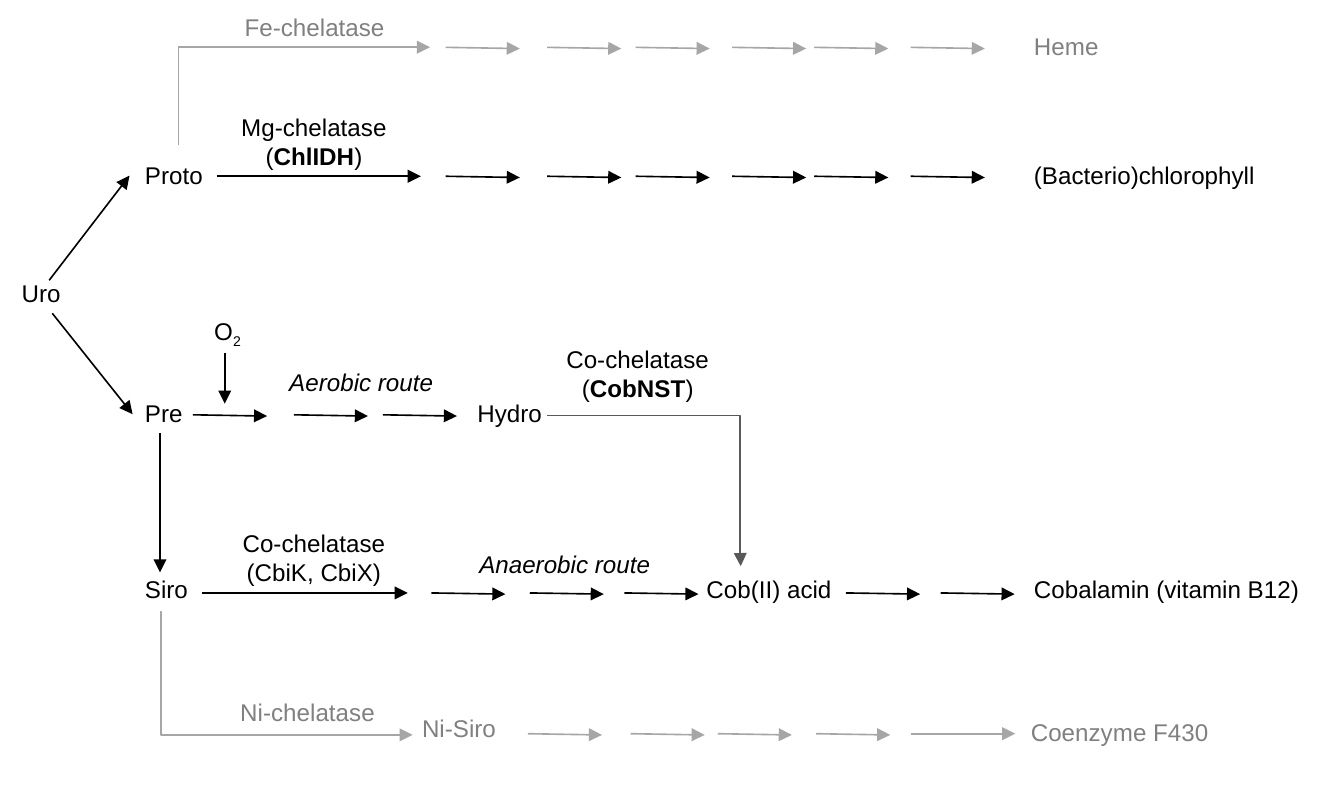
import dataclasses

import lxml.etree
import pptx
import pptx.dml.color
import pptx.enum.shapes
import pptx.enum.text
import pptx.oxml.ns
import pptx.util

Cm = pptx.util.Cm
Align = pptx.enum.text.PP_ALIGN
Kind = pptx.enum.shapes.MSO_CONNECTOR
qn = pptx.oxml.ns.qn


@dataclasses.dataclass(frozen=True)
class Theme:
    font: str = "Arial"
    size: float = 11
    line: float = 0.75
    ink: str = "000000"
    muted_text: str = "808080"
    muted_line: str = "A6A6A6"
    bend: str = "595959"


@dataclasses.dataclass(frozen=True)
class Box:
    """A pathway region: its left edge and the height of its arrow rail, in cm."""
    left: float
    rail: float

    def at(self, x, y):
        return Cm(self.left + x), Cm(self.rail + y)


THEME = Theme()
LINE_HEIGHT = 0.99
TWO_LINES = 1.45
STEP = 1.19
DROP = 0.02
PRODUCT = 14.28
LONG_STEPS = (5.08, 6.71, 8.13, 9.68, 11.0, 12.55)


def label(page, box, lines, x, width, y=-0.49, color=THEME.ink,
          align=Align.LEFT, italic=False):
    """Each line is a string or a list of (text, style) spans."""
    height = TWO_LINES if len(lines) > 1 else LINE_HEIGHT
    shape = page.shapes.add_textbox(*box.at(x, y), Cm(width), Cm(height))
    frame = shape.text_frame
    frame.word_wrap = True
    frame.auto_size = pptx.enum.text.MSO_AUTO_SIZE.SHAPE_TO_FIT_TEXT
    for side in ("left", "right", "top", "bottom"):
        setattr(frame, "margin_" + side, Cm(0.25))
    for index, line in enumerate(lines):
        para = frame.add_paragraph() if index else frame.paragraphs[0]
        para.alignment = align
        para.font.name = THEME.font
        para.font.size = pptx.util.Pt(THEME.size)
        para.font.italic = italic
        para.font.color.rgb = pptx.dml.color.RGBColor.from_string(color)
        for text, style in [(line, "")] if isinstance(line, str) else line:
            span = para.add_run()
            span.text = text
            if style == "bold":
                span.font.bold = True
            elif style == "sub":
                span.font._element.set("baseline", "-25000")


def caption(page, box, lines, x, y, width=2.87, **style):
    label(page, box, lines, x, width, y, align=Align.CENTER, **style)


def arrow(page, box, start, end, color=THEME.ink, kind=Kind.STRAIGHT):
    link = page.shapes.add_connector(kind, *box.at(*start), *box.at(*end))
    link.line.width = pptx.util.Pt(THEME.line)
    link.line.color.rgb = pptx.dml.color.RGBColor.from_string(color)
    outline = link.line._get_or_add_ln()
    lxml.etree.SubElement(outline, qn("a:tailEnd"), type="triangle")
    lxml.etree.SubElement(link._element.spPr, qn("a:effectLst"))
    return link


def bent_arrow(page, box, start, end, color, bend):
    """Right, down, right; bend is the share of the width before the drop."""
    link = arrow(page, box, start, end, color, Kind.ELBOW)
    guides = link._element.spPr.find(qn("a:prstGeom")).get_or_add_avLst()
    lxml.etree.SubElement(guides, qn("a:gd"), name="adj1",
                          fmla=f"val {round(bend * 100000)}")


def rising_arrow(page, box, start, end, color):
    """Up, then right: a quarter-turned single bend about the same centre."""
    (x1, y1), (x2, y2) = start, end
    middle_x, middle_y = (x1 + x2) / 2, (y1 + y2) / 2
    half_width, half_height = (x2 - x1) / 2, (y1 - y2) / 2
    link = arrow(page, box,
                 (middle_x + half_height, middle_y + half_width),
                 (middle_x - half_height, middle_y - half_width),
                 color, Kind.ELBOW)
    properties = link._element.spPr
    properties.find(qn("a:xfrm")).set("rot", "5400000")
    properties.find(qn("a:prstGeom")).set("prst", "bentConnector2")


def steps(page, box, starts, color=THEME.ink, drop=DROP):
    for x in starts:
        arrow(page, box, (x, 0), (x + STEP, drop), color)


def enzyme(name, gene):
    return [name, [("(", ""), (gene, "bold"), (")", "")]]


def branch_point(page, box):
    label(page, box, ["Uro"], 0, 1.9)
    arrow(page, box, (0.69, -0.23), (1.98, -1.91))
    arrow(page, box, (0.74, 0.3), (2.03, 1.92))


def heme_path(page, box):
    label(page, box, ["Fe-chelatase"], 1.6, 2.87, -0.8, THEME.muted_text)
    rising_arrow(page, box, (0.79, 1.57), (4.83, 0), THEME.muted_line)
    steps(page, box, LONG_STEPS, THEME.muted_line)
    label(page, box, ["Heme"], PRODUCT, 5.18, color=THEME.muted_text)


def chlorophyll_path(page, box):
    label(page, box, ["Proto"], 0, 1.55)
    caption(page, box, enzyme("Mg-chelatase", "ChlIDH"), 1.53, -1.28)
    arrow(page, box, (1.4, 0), (4.68, 0))
    steps(page, box, LONG_STEPS)
    label(page, box, ["(Bacterio)chlorophyll"], PRODUCT, 5.18)


def aerobic_path(page, box):
    label(page, box, ["Pre"], 0, 1.55)
    arrow(page, box, (0.49, 0.29), (0.49, 2.53))
    # Oxygen input
    caption(page, box, [[("O", ""), ("2", "sub")]], 0.99, -1.83, 1.17)
    arrow(page, box, (1.53, -1), (1.53, -0.18))
    # Route to the shared acid
    caption(page, box, ["Aerobic route"], 1.53, -1, 4.39, italic=True)
    steps(page, box, (1.02, 2.64, 4.07))
    label(page, box, ["Hydro"], 5.34, 1.93)
    caption(page, box, enzyme("Co-chelatase", "CobNST"), 6.73, -1.38)
    bent_arrow(page, box, (6.71, 0.01), (9.82, 2.43), THEME.bend, 0.998)


def anaerobic_path(page, box):
    label(page, box, ["Siro"], 0, 1.55, -0.53)
    caption(page, box, ["Co-chelatase", "(CbiK,\u00a0CbiX)"], 1.53, -1.29)
    arrow(page, box, (1.17, 0), (4.47, 0))
    caption(page, box, ["Anaerobic route"], 4.8, -0.93, 4.39, italic=True)
    steps(page, box, (4.85, 6.43, 7.95))
    label(page, box, ["Cob(II) acid"], 9.02, 2.57, -0.53)
    steps(page, box, (11.51, 13.03))
    label(page, box, ["Cobalamin (vitamin B12)"], PRODUCT, 5.18, -0.53)


def nickel_path(page, box):
    label(page, box, ["Ni-chelatase"], 1.53, 2.87, -0.82, THEME.muted_text)
    bent_arrow(page, box, (0.49, -1.96), (4.55, 0.02), THEME.muted_line, 0.005)
    label(page, box, ["Ni-Siro"], 4.45, 2.03, -0.56, THEME.muted_text)
    steps(page, box, (6.4, 8.05, 9.45, 11.03), THEME.muted_line)
    arrow(page, box, (12.55, 0), (14.23, 0), THEME.muted_line)
    label(page, box, ["Coenzyme F430"], 14.23, 4.06, color=THEME.muted_text)


deck = pptx.Presentation()
deck.slide_width, deck.slide_height = Cm(21.59), Cm(12.7)
page = deck.slides.add_slide(deck.slide_layouts[6])

branch_point(page, Box(0.1, 4.73))
lanes = ((heme_path, 0.76), (chlorophyll_path, 2.83), (aerobic_path, 6.66),
         (anaerobic_path, 9.52), (nickel_path, 11.78))
for draw_path, rail in lanes:
    draw_path(page, Box(2.08, rail))

deck.save("out.pptx")
